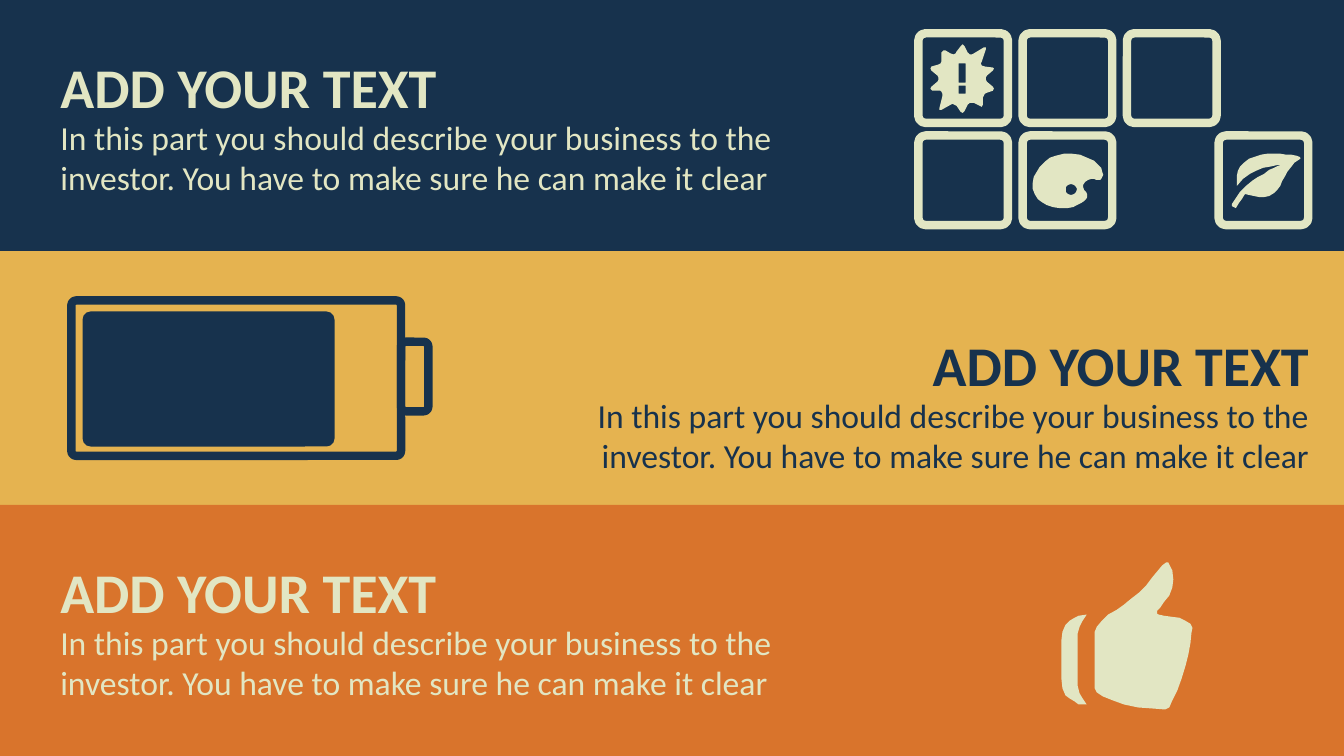
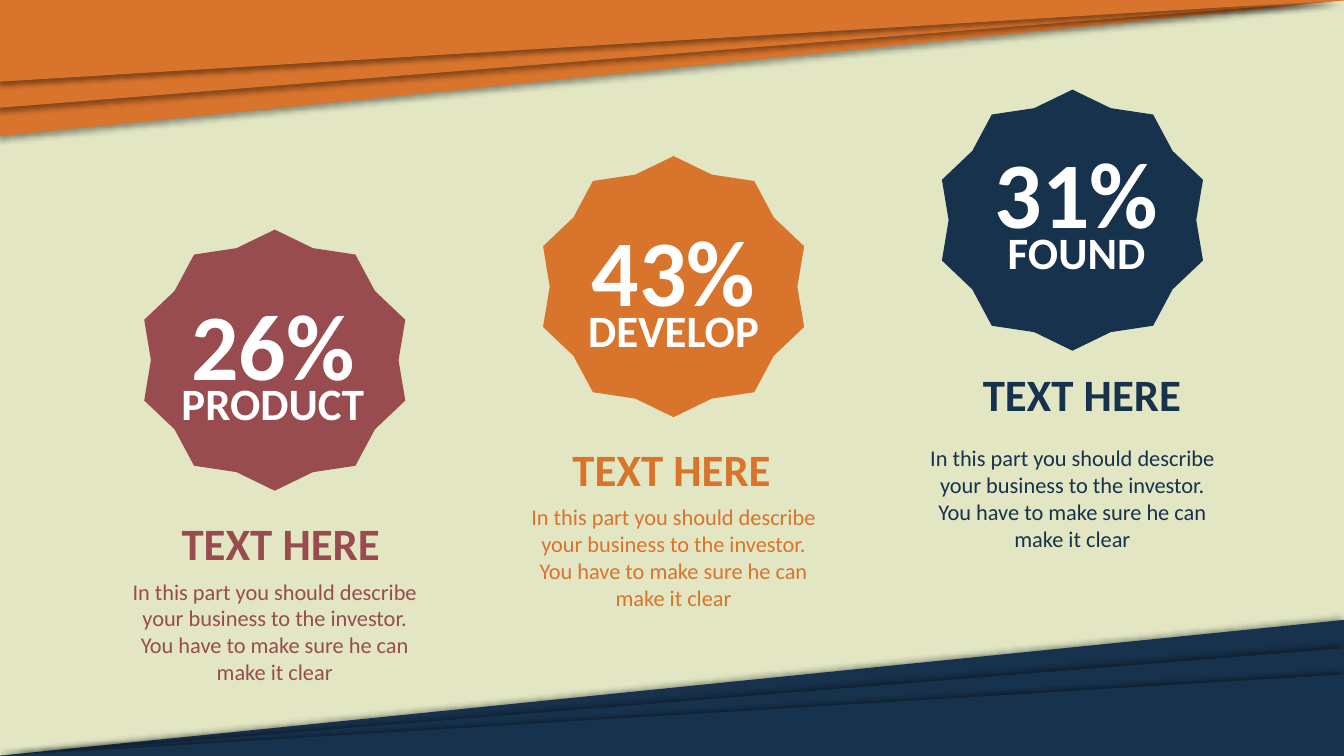
import dataclasses
import lxml.etree
import pptx
import pptx.dml.color
import pptx.enum.shapes
import pptx.enum.text
import pptx.oxml.ns
import pptx.util

Pt = pptx.util.Pt
Shape = pptx.enum.shapes.MSO_SHAPE
Align = pptx.enum.text.PP_ALIGN


@dataclasses.dataclass(frozen=True)
class Theme:
    """Colours, font and type sizes of the presentation."""
    cream: str = "E2E6C3"
    navy: str = "17324D"
    gold: str = "E5B350"
    orange: str = "D9742C"
    wine: str = "984C50"
    white: str = "FFFFFF"
    font: str = "Calibri"
    heading: int = 40
    description: int = 24
    number: int = 67
    label: int = 32
    caption: int = 16
    outline: int = 6


@dataclasses.dataclass(frozen=True)
class Box:
    """A rectangle in points."""
    left: float
    top: float
    width: float
    height: float

    def inner(self, left, top, width, height):
        """Return a box placed relative to this one."""
        return Box(self.left + left, self.top + top, width, height)

    def lengths(self):
        """Return the four lengths for a new shape."""
        return [Pt(value) for value in dataclasses.astuple(self)]


@dataclasses.dataclass(frozen=True)
class Badge:
    """Wording and offsets of one badge column."""
    percent: str
    name: str
    colour: str
    top: float
    number_shift: float
    number_top: float
    heading_shift: float
    heading_top: float
    description_top: float


THEME = Theme()
WIDTH, HEIGHT = 960, 540
HEADING = "ADD YOUR TEXT"
DESCRIPTION = ("In this part you should describe your business to the investor. "
               "You have to make sure he can make it clear")
BADGES = (
    Badge("26%", "PRODUCT", THEME.wine, 164, -1.4, 37, 4.3, 201, 245),
    Badge("43%", "DEVELOP", THEME.orange, 111.5, 0, 37, -1.4, 200.5, 244.5),
    Badge("31%", "FOUND", THEME.navy, 64, 2.9, 29, 6.8, 194.5, 250),
)
ICON_UNIT = 0.72
BURST = (
    ((28, 41), (28, 49), (35, 49), (35, 41)),
    ((28, 19), (28, 38), (35, 38), (35, 19)),
    ((32, 0), (34, 2), (37, 8), (39, 10), (41, 10), (43, 9), (53, 3), (55, 3),
     (55, 5), (51, 17), (50, 19), (51, 21), (54, 22), (62, 23), (63, 24),
     (62, 26), (56, 31), (55, 33), (55, 35), (56, 37), (62, 42), (63, 44),
     (62, 46), (56, 48), (54, 49), (53, 51), (52, 53), (52, 60), (51, 62),
     (49, 61), (43, 58), (41, 58), (39, 58), (37, 60), (34, 66), (32, 68),
     (30, 67), (26, 61), (24, 60), (22, 59), (20, 60), (11, 65), (9, 65),
     (9, 63), (12, 51), (12, 49), (11, 47), (10, 46), (2, 46), (0, 44),
     (1, 42), (7, 37), (8, 35), (8, 33), (7, 31), (1, 26), (0, 24), (1, 22),
     (8, 20), (10, 19), (11, 17), (11, 8), (13, 6), (15, 6), (20, 9), (23, 10),
     (25, 9), (26, 7), (30, 2)),
)
PALETTE = (
    ((38, 30), (35, 31), (33, 33), (33, 38), (35, 40), (38, 41), (41, 40),
     (43, 38), (44, 35), (43, 33), (41, 31)),
    ((39, 0), (47, 1), (54, 4), (61, 7), (65, 11), (68, 14), (69, 18), (70, 21),
     (69, 23), (68, 25), (67, 26), (63, 26), (61, 25), (58, 25), (55, 26),
     (52, 28), (50, 31), (50, 33), (51, 36), (53, 38), (54, 40), (54, 43),
     (53, 45), (51, 47), (48, 49), (44, 51), (40, 53), (34, 54), (27, 54),
     (20, 53), (14, 51), (9, 48), (5, 45), (2, 40), (0, 35), (0, 29), (1, 23),
     (4, 18), (7, 13), (12, 8), (17, 4), (23, 2), (31, 0)),
)
LEAF = (
    ((42, 0), (48, 0), (54, 1), (59, 1), (64, 2), (67, 3), (68, 4), (68, 5),
     (62, 9), (59, 13), (55, 18), (53, 22), (50, 27), (48, 32), (45, 36),
     (42, 39), (37, 42), (32, 43), (27, 43), (22, 42), (13, 40), (10, 45),
     (7, 49), (4, 54), (0, 52), (0, 50), (4, 44), (8, 38), (14, 32), (20, 27),
     (26, 23), (32, 20), (37, 16), (42, 14), (46, 12), (49, 11), (46, 11),
     (42, 12), (37, 13), (31, 14), (24, 17), (18, 20), (11, 25), (5, 32),
     (5, 22), (6, 17), (8, 13), (12, 9), (17, 5), (23, 3), (29, 1), (35, 0)),
)
THUMB = (
    ((24, 52), (25, 52), (21, 58), (18, 64), (16, 71), (16, 122), (18, 130),
     (21, 135), (25, 141), (21, 141), (17, 141), (13, 138), (8, 135), (4, 132),
     (1, 125), (0, 116), (0, 77), (1, 69), (4, 62), (8, 58), (13, 55), (17, 53)),
    ((104, 0), (106, 0), (110, 8), (111, 17), (110, 25), (107, 33), (102, 39),
     (98, 45), (95, 48), (95, 51), (97, 52), (102, 53), (109, 54), (117, 55),
     (123, 58), (128, 61), (130, 65), (129, 70), (128, 80), (126, 91),
     (123, 103), (119, 116), (115, 127), (110, 137), (107, 144), (103, 146),
     (90, 145), (76, 144), (62, 141), (51, 137), (41, 133), (35, 129),
     (33, 125), (33, 69), (35, 64), (40, 58), (46, 52), (55, 47), (62, 42),
     (68, 37), (77, 30), (84, 23), (90, 15), (95, 9), (100, 3)),
)


def rgb(colour):
    """Turn a hexadecimal colour into an RGBColor."""
    return pptx.dml.color.RGBColor.from_string(colour)


def paint(shape, fill=None, line=None):
    """Give a shape a plain fill and outline, and no shadow."""
    shape.shadow.inherit = False
    if fill:
        shape.fill.solid()
        shape.fill.fore_color.rgb = rgb(fill)
    else:
        shape.fill.background()
    if line:
        shape.line.color.rgb = rgb(line)
        shape.line.width = Pt(THEME.outline)
    else:
        shape.line.fill.background()


def add_preset(slide, kind, box, fill=None, line=None, corner=None):
    """Add a painted preset shape."""
    shape = slide.shapes.add_shape(kind, *box.lengths())
    if corner is not None:
        shape.adjustments[0] = corner
    paint(shape, fill, line)
    return shape


def add_icon(slide, contours, box, left, top, colour):
    """Draw an outline icon relative to a box."""
    builder = slide.shapes.build_freeform(*contours[0][0], scale=Pt(ICON_UNIT))
    for index, contour in enumerate(contours):
        if index:
            builder.move_to(*contour[0])
        builder.add_line_segments(contour[1:], close=True)
    paint(builder.convert_to_shape(Pt(box.left + left), Pt(box.top + top)), colour)


def add_text(slide, box, text, size, colour, bold=False, align=Align.CENTER, placeholder=None):
    """Write one paragraph in a placeholder or a new text box."""
    if placeholder is None:
        shape = slide.shapes.add_textbox(*box.lengths())
    else:
        shape = placeholder
        slide.shapes.element.append(shape.element)
        shape.left, shape.top, shape.width, shape.height = box.lengths()
    frame = shape.text_frame
    frame.word_wrap = True
    frame.auto_size = pptx.enum.text.MSO_AUTO_SIZE.NONE
    frame.vertical_anchor = pptx.enum.text.MSO_ANCHOR.TOP
    frame.text = text
    paragraph = frame.paragraphs[0]
    paragraph.alignment = align
    paragraph.space_before = Pt(0)
    font = paragraph.font
    font.name, font.size, font.bold = THEME.font, Pt(size), bold
    font.color.rgb = rgb(colour)


def add_slide(presentation):
    """Add a slide and return it with its title and body placeholders."""
    slide = presentation.slides.add_slide(presentation.slide_layouts[2])
    return slide, (slide.shapes.title, slide.placeholders[1])


def add_band(slide, band, fill, colour, text_left, text_top, align, holders=(None, None)):
    """Fill a band and write its heading and description."""
    add_preset(slide, Shape.RECTANGLE, band, fill)
    width = 534
    add_text(slide, band.inner(text_left, text_top, width, 55.5), HEADING,
             THEME.heading, colour, True, align, holders[0])
    add_text(slide, band.inner(text_left, text_top + 46, width, 65.5), DESCRIPTION,
             THEME.description, colour, False, align, holders[1])


def add_tiles(slide, box):
    """Draw the two rows of tiles with their icons."""
    columns, rows, side = (0, 74.5, 149, 214.5), (0, 73), 64
    tiles = {(0, 0): (BURST, 8.6, 7.9), (1, 0): None, (2, 0): None,
             (0, 1): None, (1, 1): (PALETTE, 7.2, 13), (3, 1): (LEAF, 9.4, 13)}
    for (column, row), icon in tiles.items():
        tile = box.inner(columns[column], rows[row], side, side)
        add_preset(slide, Shape.ROUNDED_RECTANGLE, tile, line=THEME.cream, corner=0.08)
        if icon:
            contours, left, top = icon
            add_icon(slide, contours, tile, left, top, THEME.cream)


def add_battery(slide, box):
    """Draw the battery with its case, terminal and charge."""
    kind = Shape.ROUNDED_RECTANGLE
    add_preset(slide, kind, box.inner(0, 0, 235.5, 111), line=THEME.navy, corner=0.03)
    add_preset(slide, kind, box.inner(235.5, 29.5, 19.5, 49.7), line=THEME.navy)
    add_preset(slide, kind, box.inner(8, 7.9, 180, 96.5), THEME.navy, corner=0.06)


def build_bands_slide(presentation):
    """Build the slide of three bands."""
    slide, holders = add_slide(presentation)
    side, middle = 179.3, 181.4
    top_band = Box(0, 0, WIDTH, side)
    middle_band = Box(0, side, WIDTH, middle)
    bottom_band = Box(0, side + middle, WIDTH, side)
    add_band(slide, top_band, THEME.navy, THEME.cream, 36, 33.8, Align.LEFT, holders)
    add_tiles(slide, top_band.inner(656, 23.8, 278.5, 137))
    add_band(slide, middle_band, THEME.gold, THEME.navy, 408, 53.2, Align.RIGHT)
    add_battery(slide, middle_band.inner(51, 35.3, 255, 111))
    add_band(slide, bottom_band, THEME.orange, THEME.cream, 36, 33.8, Align.LEFT)
    add_icon(slide, THUMB, bottom_band, 758.2, 41, THEME.cream)


def add_corner_shadow(shape, direction):
    """Give a shape a soft outer shadow in the direction in degrees."""
    name = pptx.oxml.ns.qn
    effects = shape.element.spPr.find(name("a:effectLst"))
    shadow = lxml.etree.SubElement(
        effects, name("a:outerShdw"), blurRad=str(Pt(4)), dist=str(Pt(3)),
        dir=str(direction * 60000), algn="tr", rotWithShape="0")
    black = lxml.etree.SubElement(shadow, name("a:srgbClr"), val="000000")
    lxml.etree.SubElement(black, name("a:alpha"), val="40000")


def add_corner(slide, colour, at_top):
    """Layer three long triangles in the top left or bottom right corner."""
    for depth, length in ((97.2, 962.6), (77, 961.2), (58.3, 960)):
        centre_x = length / 2 if at_top else WIDTH - length / 2
        centre_y = depth / 2 if at_top else HEIGHT - depth / 2
        box = Box(centre_x - depth / 2, centre_y - length / 2, depth, length)
        triangle = add_preset(slide, Shape.RIGHT_TRIANGLE, box, colour)
        triangle.rotation = 90 if at_top else 270
        add_corner_shadow(triangle, 135 if at_top else 225)


def add_badge(slide, box, badge, holders):
    """Draw a star with its number, name, heading and description."""
    star = add_preset(slide, Shape.STAR_10_POINT, box, badge.colour)
    star.adjustments[0] = 0.451

    def row(width, height, top, shift=0):
        """Return a text box centred under the star, moved by a shift."""
        return box.inner((box.width - width) / 2 + shift, top, width, height)

    shift, top = badge.number_shift, badge.number_top
    add_text(slide, row(168, 88.5, top, shift), badge.percent, THEME.number, THEME.white, True)
    add_text(slide, row(168, 46, top + 64, shift), badge.name, THEME.label, THEME.white, True)
    add_text(slide, row(192, 46, badge.heading_top, badge.heading_shift), "TEXT HERE",
             THEME.label, badge.colour, True, placeholder=holders[0])
    add_text(slide, row(221, 85, badge.description_top), DESCRIPTION,
             THEME.caption, badge.colour, placeholder=holders[1])


def build_badges_slide(presentation):
    """Build the slide of three rising badges."""
    slide, holders = add_slide(presentation)
    add_corner(slide, THEME.orange, True)
    left, pitch, size = 103, 284.9, 186.5
    for index, badge in enumerate(BADGES):
        box = Box(left + index * pitch, badge.top, size, size)
        add_badge(slide, box, badge, (None, None) if index else holders)
    add_corner(slide, THEME.navy, False)


def main():
    """Build and save the presentation."""
    presentation = pptx.Presentation()
    presentation.slide_width, presentation.slide_height = Pt(WIDTH), Pt(HEIGHT)
    background = presentation.slide_master.background.fill
    background.solid()
    background.fore_color.rgb = rgb(THEME.cream)
    build_bands_slide(presentation)
    build_badges_slide(presentation)
    presentation.save("out.pptx")


if __name__ == "__main__":
    main()
